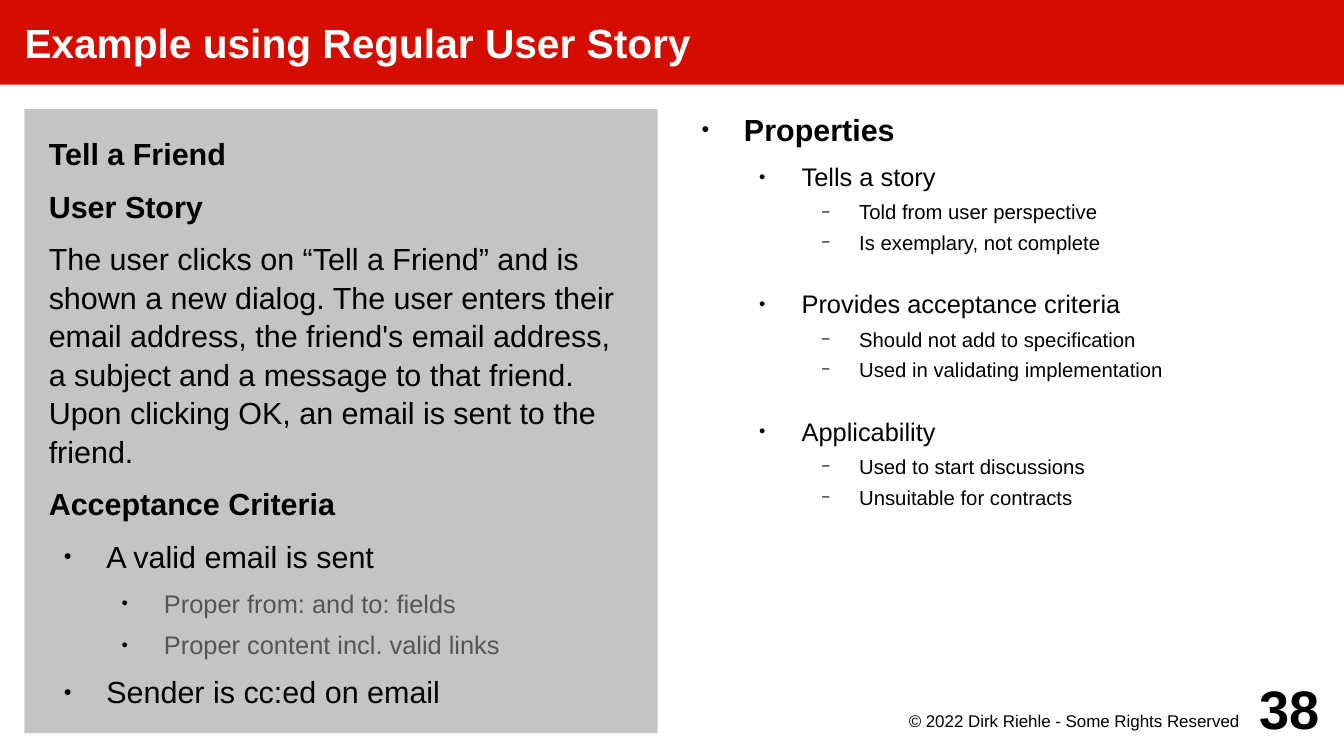
from lxml import etree
from pptx import Presentation
from pptx.dml.color import RGBColor
from pptx.enum import shapes, text
from pptx.oxml import ns
from pptx.util import Pt

# Content: (style, text)
TITLE = "Example using Regular User Story"
STORY = [
    ("head", "Tell a Friend"),
    ("head", "User Story"),
    ("body", "The user clicks on “Tell a Friend” and is shown a new dialog. "
             "The user enters their email address, the friend's email address, "
             "a subject and a message to that friend. "
             "Upon clicking OK, an email is sent to the friend."),
    ("head", "Acceptance Criteria"),
    ("item", "A valid email is sent"),
    ("detail", "Proper from: and to: fields"),
    ("detail", "Proper content incl. valid links"),
    ("item", "Sender is cc:ed on email"),
]
TRAITS = [
    ("Tells a story",
     ["Told from user perspective", "Is exemplary, not complete"]),
    ("Provides acceptance criteria",
     ["Should not add to specification", "Used in validating implementation"]),
    ("Applicability",
     ["Used to start discussions", "Unsuitable for contracts"]),
]
RIGHTS = "© 2022 Dirk Riehle - Some Rights Reserved"
NUMBER = "38"

THEME = {
    "font": "Arial",
    "red": "D50D01", "panel": "C4C4C4",
    "white": "FFFFFF", "black": "000000", "grey": "555555",
    "title": 24, "large": 18, "mid": 15, "small": 12, "foot": 10, "page": 32,
    "leading": 1.05,
}

# Style: size, bold, colour, level, spacing, bullet
STYLES = {
    "head": ("large", True, "black", 0, 4.2, None),
    "body": ("large", False, "black", 0, 4.2, None),
    "item": ("large", False, "black", 0, 4.2, "●"),
    "topic": ("large", True, "black", 0, 4.2, "●"),
    "trait": ("mid", False, "black", 1, 2.8, "●"),
    "detail": ("mid", False, "grey", 1, 2.8, "●"),
    "point": ("small", False, "black", 2, 1.4, "−"),
}
BULLETS = {"●": (45, 25.2), "−": (75, 22.3)}  # size in percent, hanging indent
STEP = 34       # indent per level
GAP = 15        # extra space between groups of traits

WIDE, HIGH = 793.44, 446.4
EDGE, BAR = 14.4, 50
COLUMN = 373.8
TOP = BAR + EDGE
RIGHT = WIDE - EDGE

deck = Presentation()
deck.slide_width, deck.slide_height = Pt(WIDE), Pt(HIGH)
slide = deck.slides.add_slide(deck.slide_layouts[6])


def add_box(left, top, width, height, inset, fill=None, middle=False):
    place = [Pt(v) for v in (left, top, width, height)]
    if fill:
        box = slide.shapes.add_shape(shapes.MSO_SHAPE.RECTANGLE, *place)
        box.shadow.inherit = False
        box.fill.solid()
        box.fill.fore_color.rgb = RGBColor.from_string(THEME[fill])
        box.line.fill.background()
    else:
        box = slide.shapes.add_textbox(*place)
    frame = box.text_frame
    frame.word_wrap = True
    (frame.margin_left, frame.margin_top,
     frame.margin_right, frame.margin_bottom) = [Pt(v) for v in inset]
    anchor = text.MSO_ANCHOR
    frame.vertical_anchor = anchor.MIDDLE if middle else anchor.TOP
    return frame


def paint(par, size, bold, color, align=text.PP_ALIGN.LEFT):
    par.alignment = align
    for run in par.runs:
        run.font.name = THEME["font"]
        run.font.size = Pt(THEME[size])
        run.font.bold = bold
        run.font.color.rgb = RGBColor.from_string(THEME[color])


def add_bullet(par, mark, level):
    size, hang = BULLETS[mark]
    props = par._p.get_or_add_pPr()
    props.set("marL", str(Pt(STEP * (level + 1))))
    props.set("indent", str(-Pt(hang)))
    tint = etree.SubElement(props, ns.qn("a:buClr"))
    etree.SubElement(tint, ns.qn("a:srgbClr"), val=THEME["black"])
    etree.SubElement(props, ns.qn("a:buSzPct"), val=str(size * 1000))
    etree.SubElement(props, ns.qn("a:buFont"), typeface=THEME["font"])
    etree.SubElement(props, ns.qn("a:buChar"), char=mark)


def write(frame, lines):
    before = None
    for style, words in lines:
        size, bold, color, level, space, mark = STYLES[style]
        par = frame.paragraphs[0] if before is None else frame.add_paragraph()
        par.text = words
        par.level = level
        if mark:
            add_bullet(par, mark, level)
        par.line_spacing = THEME["leading"]
        gap = GAP if (before, style) == ("point", "trait") else 0
        par.space_before = Pt(0 if before is None else space + gap)
        par.space_after = Pt(space)
        paint(par, size, bold, color)
        before = style


def add_label(frame, words, *look):
    frame.text = words
    paint(frame.paragraphs[0], *look)


# Title bar
bar = add_box(0, 0, WIDE, BAR, (EDGE, 0, 0, 0), "red", True)
add_label(bar, TITLE, "title", True, "white")

# User story panel
write(add_box(EDGE, TOP, COLUMN, 368.6, (EDGE,) * 4, "panel"), STORY)

# Properties list
lines = [("topic", "Properties")]
for trait, points in TRAITS:
    lines.append(("trait", trait))
    lines += [("point", point) for point in points]
write(add_box(RIGHT - COLUMN, TOP, COLUMN, 326, (0,) * 4), lines)

# Footer
rights = add_box(510.5, 418.3, 226.8, 21.6, (0, 1.4, 5.8, 0))
add_label(rights, RIGHTS, "foot", False, "black", text.PP_ALIGN.RIGHT)
page = add_box(RIGHT - 56.9, 396.7, 56.9, 42.5, (0,) * 4, middle=True)
add_label(page, NUMBER, "page", True, "black", text.PP_ALIGN.RIGHT)

deck.save("out.pptx")
